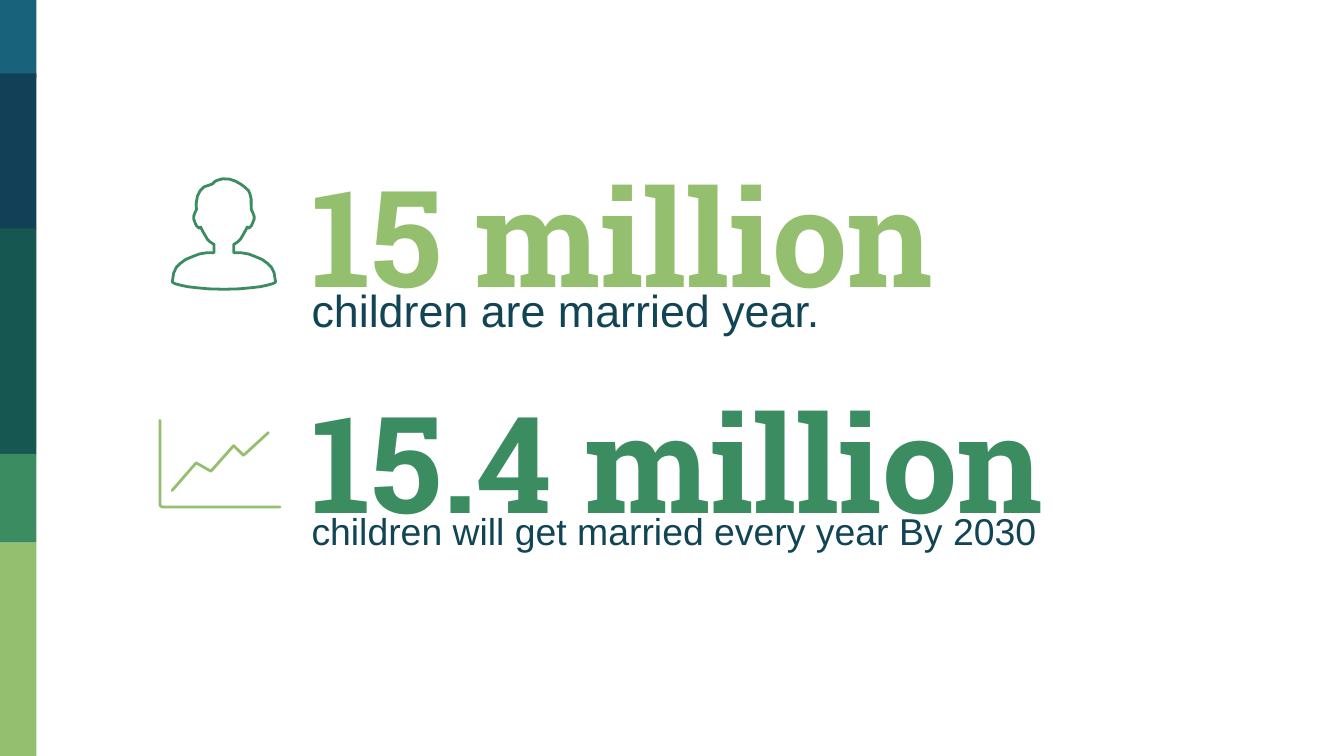
"""Build a slide with two child marriage figures, icons and a colour side bar."""
import pptx
import pptx.util
import pptx.dml.color
import pptx.enum.shapes
import pptx.enum.text
from lxml import etree

Pt = pptx.util.Pt
RGBColor = pptx.dml.color.RGBColor
ANCHOR = pptx.enum.text.MSO_ANCHOR

BLUE = RGBColor(0x18, 0x63, 0x7B)
NAVY = RGBColor(0x12, 0x40, 0x57)
TEAL = RGBColor(0x16, 0x57, 0x51)
GREEN = RGBColor(0x3B, 0x8D, 0x61)
LIME = RGBColor(0x94, 0xBF, 0x6E)
INK = RGBColor(0x11, 0x44, 0x54)

SIDE_BAR = [
    (0, 41.8, BLUE),
    (39.4, 83.5, NAVY),
    (122.4, 121, TEAL),
    (243.2, 47.5, GREEN),
    (290.7, 114.3, LIME),
]
FIGURES = [
    ("15 million", LIME, "children are married year.", 24, 90),
    ("15.4 million", GREEN, "children will get married every year By 2030", 20, 211),
]

HEAD_CENTER = 120
HAIR = [
    (105.1, 109.4), (105.8, 105.1), (107.3, 102.2), (109.4, 100.1),
    (111.6, 99.4), (113.8, 98.6), (115.2, 97.2), (117.4, 96.3),
    (119.5, 95.8), (123.1, 96), (126, 97), (128.9, 98.6), (131, 100.1),
    (133.2, 102.2), (133.9, 103.7), (134.6, 106.6), (134.6, 109.4),
]
HALF_BODY = [
    (14.7, 112.3), (15.4, 113.8), (16.2, 115.9), (16.2, 117.4),
    (15.4, 119.5), (14.7, 121), (13.2, 122.4), (12.5, 121.7), (11, 124.6),
    (8.9, 128.2), (7.4, 129.6), (5.3, 131), (5.3, 135.4), (8.9, 135.4),
    (13.2, 136.1), (16.8, 137.5), (20.4, 139), (23.3, 141.1),
    (25.5, 143.3), (26.9, 146.2), (27.7, 151.2), (26.2, 152),
    (23.3, 152.8), (19.7, 153.6), (14.7, 154.2), (8.2, 154.8), (0, 155),
]
AXES = [(85.7, 225.2), (85.7, 270), (86, 271), (87, 271.6), (150, 271.6)]
TREND = [
    (92.2, 262.8), (105.1, 248), (113, 252.5),
    (125.2, 238.8), (130.5, 244), (143.8, 231.8),
]


def add_outline(shapes, points, color, closed=False):
    corners = [(Pt(x), Pt(y)) for x, y in points]
    builder = shapes.build_freeform(*corners[0])
    builder.add_line_segments(corners[1:], close=closed)
    outline = builder.convert_to_shape()
    outline.shadow.inherit = False
    outline.fill.background()
    outline.line.color.rgb = color
    outline.line.width = Pt(1.5)
    stroke = outline.line._get_or_add_ln()
    stroke.set("cap", "rnd")
    etree.SubElement(stroke, pptx.oxml.ns.qn("a:round"))


def add_text(slide, text, top, height, anchor, font_name, size, color, bold):
    box = slide.shapes.add_textbox(Pt(159.8), Pt(top), Pt(522), Pt(height))
    frame = box.text_frame
    frame.word_wrap = True
    frame.vertical_anchor = anchor
    frame.margin_left = frame.margin_right = Pt(7.2)
    frame.margin_top = frame.margin_bottom = Pt(7.2)
    frame.text = text
    font = frame.paragraphs[0].runs[0].font
    font.name = font_name
    font.size = Pt(size)
    font.bold = bold
    font.color.rgb = color


def main():
    deck = pptx.Presentation()
    deck.slide_width, deck.slide_height = Pt(720), Pt(405)
    slide = deck.slides.add_slide(deck.slide_layouts[6])

    for top, height, color in SIDE_BAR:
        band = slide.shapes.add_shape(
            pptx.enum.shapes.MSO_SHAPE.RECTANGLE, 0, Pt(top), Pt(19.5), Pt(height))
        band.shadow.inherit = False
        band.fill.solid()
        band.fill.fore_color.rgb = color
        band.line.fill.background()

    for number, color, caption, size, top in FIGURES:
        add_text(slide, number, top, 70.6, ANCHOR.MIDDLE, "Roboto Slab", 72, color, True)
        add_text(slide, caption, top + 54, 36.7, ANCHOR.TOP, "Arial", size, INK, False)

    right_side = [(HEAD_CENTER + x, y) for x, y in HALF_BODY]
    left_side = [(HEAD_CENTER - x, y) for x, y in reversed(HALF_BODY[:-1])]
    add_outline(slide.shapes, HAIR + right_side + left_side, GREEN, closed=True)

    growth = slide.shapes.add_group_shape()
    for points in (AXES, TREND):
        add_outline(growth.shapes, points, LIME)

    deck.save("out.pptx")


if __name__ == "__main__":
    main()
